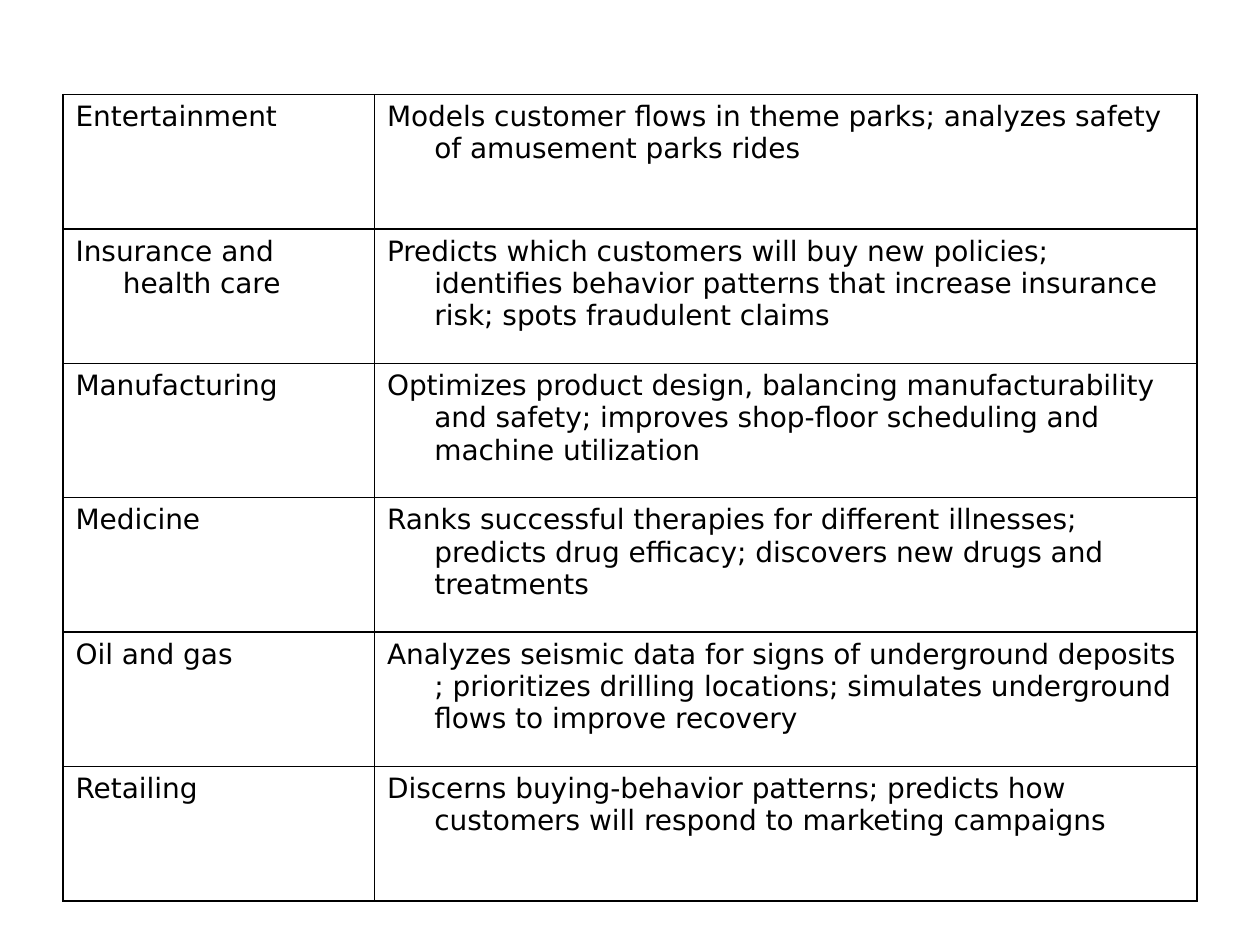
"""Build a slide with a table of industries and their data mining uses."""
from dataclasses import dataclass

from lxml.etree import SubElement
from pptx import Presentation
from pptx.dml.color import RGBColor
from pptx.oxml.ns import qn
from pptx.table import _Cell
from pptx.util import Length, Pt


@dataclass(frozen=True)
class Theme:
    font: str = "DejaVu Sans"
    size: Length = Pt(16)
    ink: str = "000000"
    border: Length = Pt(1)
    hanging: Length = Pt(27)


@dataclass(frozen=True)
class Industry:
    name: str
    uses: str


THEME = Theme()
INDUSTRIES = [
    Industry("Entertainment",
             "Models customer flows in theme parks; analyzes safety of amusement parks rides"),
    Industry("Insurance and health care",
             "Predicts which customers will buy new policies; identifies behavior patterns "
             "that increase insurance risk; spots fraudulent claims"),
    Industry("Manufacturing",
             "Optimizes product design, balancing manufacturability and safety; improves "
             "shop-floor scheduling and machine utilization"),
    Industry("Medicine",
             "Ranks successful therapies for different illnesses; predicts drug efficacy; "
             "discovers new drugs and treatments"),
    Industry("Oil and gas",
             "Analyzes seismic data for signs of underground deposits ; prioritizes drilling "
             "locations; simulates underground flows to improve recovery"),
    Industry("Retailing",
             "Discerns buying-behavior patterns; predicts how customers will respond to "
             "marketing campaigns"),
]
LEFT, TOP = Pt(36), Pt(54)
NAME_WIDTH, USES_WIDTH = Pt(178), Pt(470)
ROW_HEIGHT = Pt(76.8)


def add_borders(cell: _Cell) -> None:
    properties = cell._tc.get_or_add_tcPr()
    for side in ("a:lnL", "a:lnR", "a:lnT", "a:lnB"):
        line = SubElement(properties, qn(side), w=str(THEME.border))
        fill = SubElement(line, qn("a:solidFill"))
        SubElement(fill, qn("a:srgbClr"), val=THEME.ink)


def write_cell(cell: _Cell, wording: str) -> None:
    add_borders(cell)
    cell.fill.background()
    cell.text_frame.text = wording
    paragraph = cell.text_frame.paragraphs[0]
    indents = paragraph._p.get_or_add_pPr()
    indents.set("marL", str(THEME.hanging))
    indents.set("indent", str(-THEME.hanging))
    font = paragraph.runs[0].font
    font.name = THEME.font
    font.size = THEME.size
    font.color.rgb = RGBColor.from_string(THEME.ink)


def main() -> None:
    presentation = Presentation()
    presentation.slide_width, presentation.slide_height = Pt(720), Pt(540)
    slide = presentation.slides.add_slide(presentation.slide_layouts[6])
    industry_table = slide.shapes.add_table(
        len(INDUSTRIES), 2, LEFT, TOP,
        NAME_WIDTH + USES_WIDTH, ROW_HEIGHT * len(INDUSTRIES)).table
    industry_table.first_row = False
    industry_table.horz_banding = False
    for column, width in zip(industry_table.columns, (NAME_WIDTH, USES_WIDTH)):
        column.width = width
    for row, industry in zip(industry_table.rows, INDUSTRIES):
        row.height = ROW_HEIGHT
        for cell, wording in zip(row.cells, (industry.name, industry.uses)):
            write_cell(cell, wording)
    presentation.save("out.pptx")


if __name__ == "__main__":
    main()
